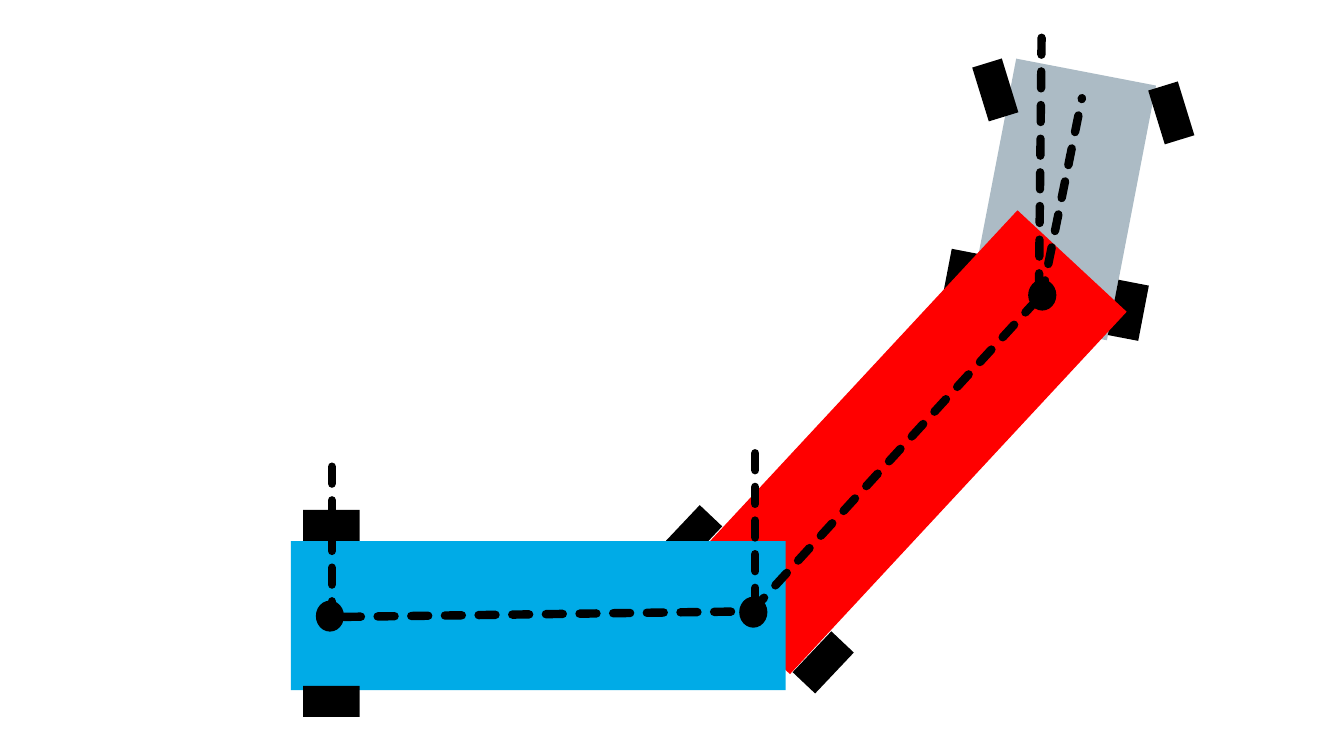
from dataclasses import dataclass

from lxml.etree import SubElement
from pptx import Presentation
from pptx.dml.color import RGBColor
from pptx.enum.dml import MSO_LINE
from pptx.enum.shapes import MSO_CONNECTOR, MSO_SHAPE
from pptx.oxml.ns import qn
from pptx.util import Pt

BLACK = "000000"


@dataclass
class Block:
    left: float
    top: float
    width: float
    height: float
    turn: float = 0
    color: str = BLACK
    kind: MSO_SHAPE = MSO_SHAPE.RECTANGLE


@dataclass
class Dash:
    x1: float
    y1: float
    x2: float
    y2: float


def wheel(left: float, top: float, turn: float) -> Block:
    return Block(left, top, 16.6, 30.2, turn)


def trailer(left: float, top: float, turn: float, color: str) -> Block:
    return Block(left, top, 79.9, 265, turn, color)


def joint(left: float, top: float) -> Block:
    return Block(left, top, 15.1, 16.6, kind=MSO_SHAPE.OVAL)


def paint(fill, color: str) -> None:
    fill.solid()
    fill.fore_color.rgb = RGBColor.from_string(color)


def draw_block(slide, block: Block) -> None:
    shape = slide.shapes.add_shape(
        block.kind, Pt(block.left), Pt(block.top), Pt(block.width), Pt(block.height))
    shape.rotation = block.turn
    shape.shadow.inherit = False
    paint(shape.fill, block.color)
    shape.line.fill.background()


def draw_dash(slide, dash: Dash) -> None:
    link = slide.shapes.add_connector(
        MSO_CONNECTOR.STRAIGHT, Pt(dash.x1), Pt(dash.y1), Pt(dash.x2), Pt(dash.y2))
    paint(link.line.fill, BLACK)
    link.line.width = Pt(4.5)
    link.line.dash_style = MSO_LINE.SQUARE_DOT
    props = link._element.spPr
    props.find(qn("a:ln")).set("cap", "rnd")
    SubElement(props, qn("a:effectLst"))


PARTS = [
    Block(530.6, 37.4, 76.3, 139, 10.9, "ACBBC5"),
    wheel(596.2, 151.2, 10.9),
    wheel(506.9, 134.6, 10.9),
    wheel(524.9, 33.1, 342.9),
    wheel(619.2, 45.4, 342.9),
    trailer(444.2, 104.4, 42.9, "FF0000"),
    wheel(432.7, 339.8, 43.4),
    wheel(362.2, 272.2, 43.4),
    joint(550.8, 149.8),
    trailer(248.4, 197.3, 90, "00ABE7"),
    joint(396, 319.7),
    Dash(558, 159.1, 579.6, 52.6),
    Dash(556.6, 155.5, 558, 19.4),
    Dash(404.6, 324, 404.6, 236.9),
    Dash(403.2, 326.9, 553, 163.4),
    wheel(169.2, 360.7, 90),
    wheel(169.2, 266.4, 90),
    joint(169.2, 321.8),
    Dash(177.8, 331.2, 177.8, 244.1),
    Dash(184.3, 330.5, 396, 327.6),
]


def main() -> None:
    deck = Presentation()
    deck.slide_width, deck.slide_height = Pt(720), Pt(405)
    slide = deck.slides.add_slide(deck.slide_layouts[6])
    for part in PARTS:
        if isinstance(part, Block):
            draw_block(slide, part)
        else:
            draw_dash(slide, part)
    deck.save("out.pptx")


if __name__ == "__main__":
    main()
